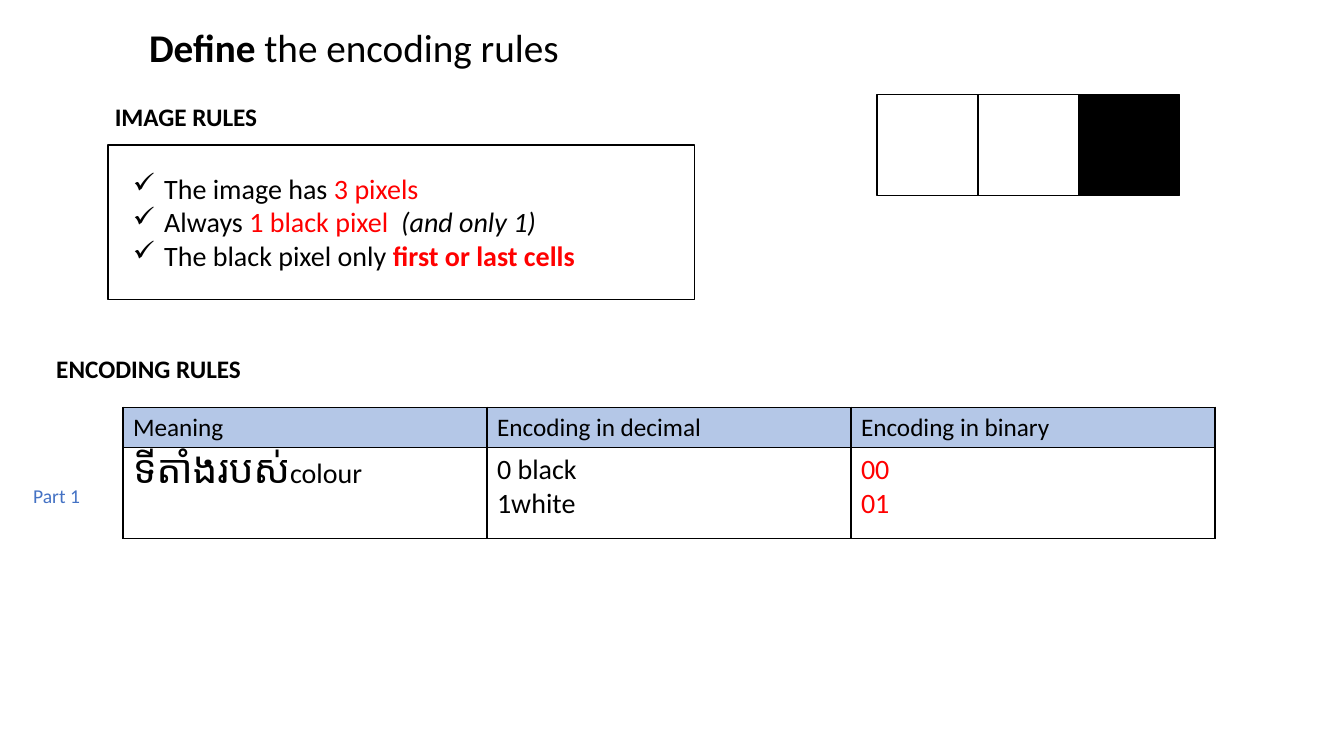
from lxml import etree
from pptx import Presentation
from pptx.dml.color import RGBColor as RGB
from pptx.enum.shapes import MSO_SHAPE as Shape
from pptx.oxml.ns import qn
from pptx.util import Inches, Pt

FONT = "Calibri"
COLORS = {"black": "000000", "white": "FFFFFF", "red": "FF0000",
          "blue": "4472C4", "head": "B4C7E7"}

# A paragraph is a list of runs: (text, format)
RED, BOLD = {"color": "red"}, {"bold": True}
LABELS = [
    ((1.38, 0.18, 4.5, 0.57), [("Define", BOLD), (" the encoding rules", {})], 28, "black"),
    ((1.04, 0.96, 1.63, 0.4), [("IMAGE RULES", BOLD)], 18, "black"),
    ((0.46, 3.46, 2.06, 0.4), [("ENCODING RULES", BOLD)], 18, "black"),
    ((0.23, 4.75, 0.67, 0.34), [("Part 1", {})], 14, "blue"),
]
RULES = [
    [("The image has ", {}), ("3 pixels", RED)],
    [("Always ", {}), ("1 black pixel  ", RED), ("(and only 1)", {"italic": True})],
    [("The black pixel only ", {}), ("first or last cells", {**RED, **BOLD})],
]
HEADS = ["Meaning", "Encoding in decimal", "Encoding in binary"]
CODES = [
    [[("ទីតាំងរបស់", {"size": 28}), ("colour", {})]],
    [[("0 black", {})], [("1white", {})]],
    [[("00", RED)], [("01", RED)]],
]
PIXELS = ["white", "white", "black"]

RULE_BOX = (1.07, 1.44, 5.82, 1.53)
RULE_TEXT = (1.22, 1.65, 4.59, 1.11)
GRID = (1.22, 4.04, 10.83, 1.3)
ROWS = (0.4, 0.9)
PIXEL_X, PIXEL_Y, PIXEL = 8.7, 0.94, 1


def rgb(name):
    return RGB.from_string(COLORS[name])


def write(frame, paras, size=18, color="black", bullet=None):
    for i, runs in enumerate(paras):
        para = frame.paragraphs[0] if i == 0 else frame.add_paragraph()
        if bullet:
            props = para._p.get_or_add_pPr()
            indent = Inches(0.31)
            props.set("marL", str(indent))
            props.set("indent", str(-indent))
            etree.SubElement(props, qn("a:buChar")).set("char", bullet)
        for text, style in runs:
            run = para.add_run()
            run.text = text
            font = run.font
            font.name = FONT
            font.size = Pt(style.get("size", size))
            font.bold = style.get("bold", False)
            font.italic = style.get("italic", False)
            font.color.rgb = rgb(style.get("color", color))


def label(slide, box, paras, wrap=False, **style):
    frame = slide.shapes.add_textbox(*map(Inches, box)).text_frame
    frame.word_wrap = wrap
    write(frame, paras, **style)


def square(slide, box, fill=None):
    """Draw a thin black outline, hollow unless a fill is named."""
    shape = slide.shapes.add_shape(Shape.RECTANGLE, *map(Inches, box))
    shape.shadow.inherit = False
    shape.line.color.rgb = rgb("black")
    shape.line.width = Pt(1)
    if fill:
        shape.fill.solid()
        shape.fill.fore_color.rgb = rgb(fill)
    else:
        shape.fill.background()


def frame_cell(cell):
    """Put a thin black border on all four sides."""
    props = cell._tc.get_or_add_tcPr()
    for side in "LRTB":
        line = etree.SubElement(props, qn(f"a:ln{side}"), w=str(Pt(1)))
        fill = etree.SubElement(line, qn("a:solidFill"))
        etree.SubElement(fill, qn("a:srgbClr"), val=COLORS["black"])


def code_table(slide):
    shape = slide.shapes.add_table(len(ROWS), len(HEADS), *map(Inches, GRID))
    table = shape.table
    table.first_row = table.horz_banding = False
    for row, height in zip(table.rows, ROWS):
        row.height = Inches(height)
    for col, (head, codes) in enumerate(zip(HEADS, CODES)):
        table.columns[col].width = Inches(GRID[2] / len(HEADS))
        top, body = table.cell(0, col), table.cell(1, col)
        for cell in (top, body):
            frame_cell(cell)
        top.fill.solid()
        top.fill.fore_color.rgb = rgb("head")
        body.fill.background()
        write(top.text_frame, [[(head, {})]])
        write(body.text_frame, codes, size=20)


def main():
    deck = Presentation()
    deck.slide_width, deck.slide_height = Inches(13.33), Inches(7.5)
    slide = deck.slides.add_slide(deck.slide_layouts[6])

    label(slide, RULE_TEXT, RULES, size=20, bullet="✓")
    code_table(slide)
    for box, runs, size, color in LABELS:
        label(slide, box, [runs], size=size, color=color)
    square(slide, RULE_BOX)
    for i, fill in enumerate(PIXELS):
        square(slide, (PIXEL_X + i * PIXEL, PIXEL_Y, PIXEL, PIXEL), fill)

    deck.save("out.pptx")


if __name__ == "__main__":
    main()
